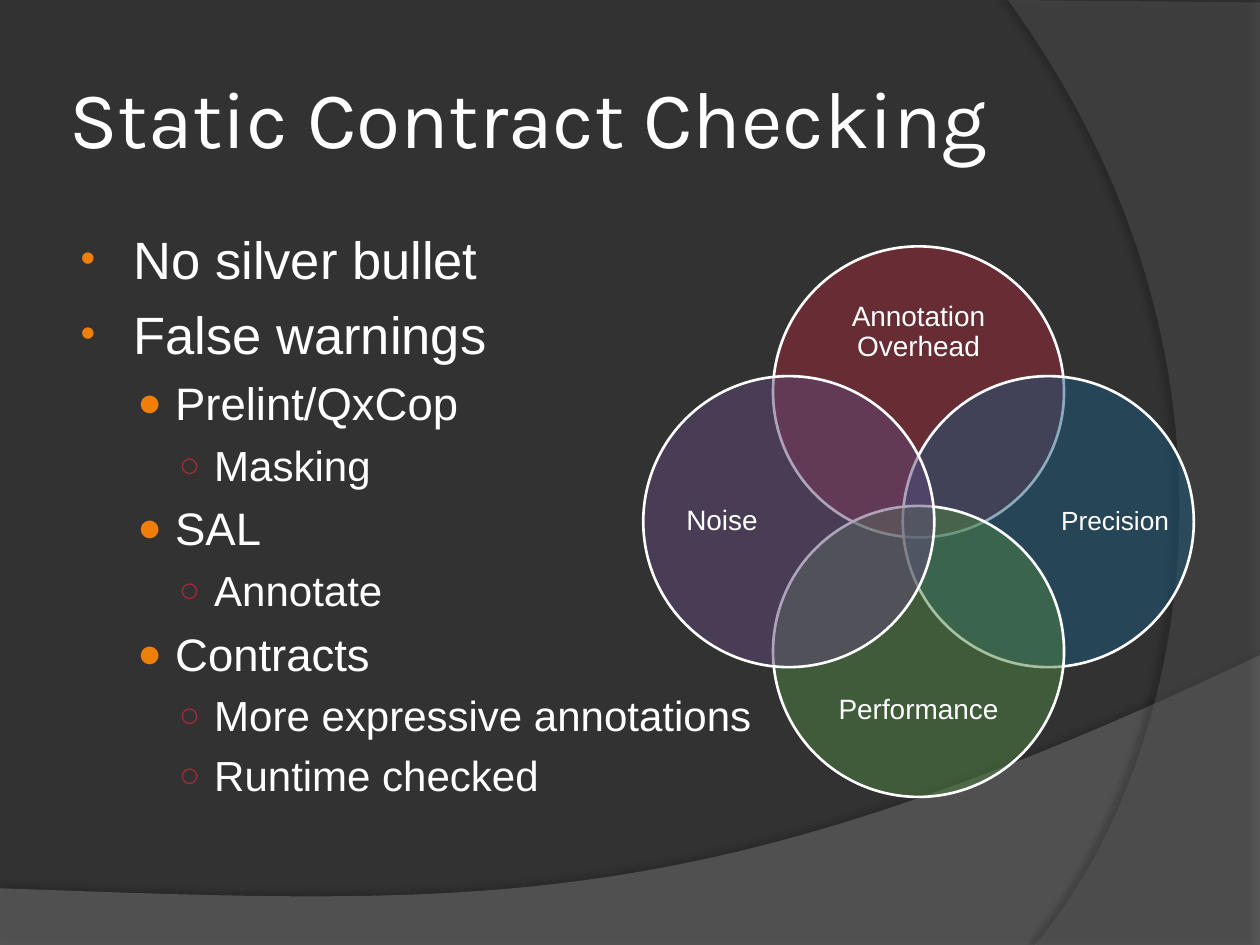
from lxml import etree
from pptx import Presentation
from pptx.dml.color import RGBColor
from pptx.enum.shapes import MSO_SHAPE
from pptx.enum.text import MSO_ANCHOR, MSO_AUTO_SIZE, PP_ALIGN
from pptx.oxml.ns import qn
from pptx.util import Inches, Pt

OVAL = MSO_SHAPE.OVAL
LEFT, CENTER = PP_ALIGN.LEFT, PP_ALIGN.CENTER
TOP, MIDDLE = MSO_ANCHOR.TOP, MSO_ANCHOR.MIDDLE
WHITE = "FFFFFF"
BACKGROUND = "323232"

TITLE = "Static Contract Checking"
BULLETS = [  # level, text
    (0, "No silver bullet"),
    (0, "False warnings"),
    (1, "Prelint/QxCop"),
    (2, "Masking"),
    (1, "SAL"),
    (2, "Annotate"),
    (1, "Contracts"),
    (2, "More expressive annotations"),
    (2, "Runtime checked"),
]
LEVELS = [
    {"size": 30, "margin": 0.46, "indent": -0.42, "char": "•", "color": "F07F09", "scale": 80},
    {"size": 26, "margin": 0.79, "indent": -0.3, "char": "●", "color": "F07F09", "scale": 90},
    {"size": 24, "margin": 1.1, "indent": -0.28, "char": "○", "color": "9F2936", "scale": 85},
]
# text, text size, circle colour, direction from the centre of the diagram
CIRCLES = [
    ("Annotation\nOverhead", 16, "9F2936", (0, -1)),
    ("Precision", 15, "1B587C", (1, 0)),
    ("Performance", 16, "4E8542", (0, 1)),
    ("Noise", 16, "604878", (-1, 0)),
]
VENN_CENTER = (7.29, 4.14)
DIAMETER, CIRCLE_OFFSET = 2.31, 1.03
LABEL_LONG, LABEL_HIGH, LABEL_NARROW = 1.78, 0.73, 0.89
LABEL_OFFSET_X, LABEL_OFFSET_Y = 1.56, 1.5

# corners, then a cubic curve that starts at the last corner
WAVES = [
    {"corners": [(0, 7.05), (0, 7.51), (10, 7.51), (10, 5.2)],
     "curve": [(5.59, 7.29), (3.91, 7.19), (0, 7.05)],
     "color": "7F7F7F", "opacity": 45,
     "shadow": {"opacity": 35, "blur": 4, "distance": 3.5, "angle": 270}},
    {"corners": [(8, 0), (10, 0.02), (10, 7.5), (8.21, 7.5)],
     "curve": [(9.35, 6.19), (10.18, 3), (8, 0)],
     "color": "5E5E5E", "opacity": 40,
     "shadow": {"opacity": 45, "blur": 4, "distance": 4, "angle": 180}},
]
CURVE_STEPS = 60


def rgb(color):
    return RGBColor.from_string(color)


def add_xml(parent, tag, **attributes):
    return etree.SubElement(parent, qn(tag), {key: str(value) for key, value in attributes.items()})


def fill_translucent(shape, color, opacity):
    shape.shadow.inherit = False
    shape.fill.solid()
    shape.fill.fore_color.rgb = rgb(color)
    color_element = next(shape.element.spPr.iter(qn("a:srgbClr")))
    add_xml(color_element, "a:alpha", val=opacity * 1000)


def format_font(paragraph, size, name):
    font = paragraph.font
    for key, value in {"size": Pt(size), "name": name, "bold": False}.items():
        setattr(font, key, value)
    font.color.rgb = rgb(WHITE)


def format_frame(frame, anchor, inset_x, inset_y):
    values = {"word_wrap": True, "auto_size": MSO_AUTO_SIZE.NONE, "vertical_anchor": anchor,
              "margin_left": Inches(inset_x), "margin_right": Inches(inset_x),
              "margin_top": Inches(inset_y), "margin_bottom": Inches(inset_y)}
    for key, value in values.items():
        setattr(frame, key, value)


def place(shape, left, top, width, height):
    shape.left, shape.top = Inches(left), Inches(top)
    shape.width, shape.height = Inches(width), Inches(height)


def centered_box(center_x, center_y, width, height):
    return [Inches(value) for value in
            (center_x - width / 2, center_y - height / 2, width, height)]


def curve_points(start, control_1, control_2, end):
    """Points along a cubic Bezier curve, without its start."""
    for step in range(1, CURVE_STEPS + 1):
        t = step / CURVE_STEPS
        weights = ((1 - t) ** 3, 3 * t * (1 - t) ** 2, 3 * t ** 2 * (1 - t), t ** 3)
        yield tuple(sum(weight * point[axis] for weight, point in
                        zip(weights, (start, control_1, control_2, end))) for axis in (0, 1))


def add_wave(slide, wave):
    corners = wave["corners"]
    points = corners + list(curve_points(corners[-1], *wave["curve"]))
    points = [(Inches(x), Inches(y)) for x, y in points]
    builder = slide.shapes.build_freeform(*points[0])
    builder.add_line_segments(points[1:], close=True)
    shape = builder.convert_to_shape()
    fill_translucent(shape, wave["color"], wave["opacity"])
    shape.line.fill.background()
    shadow = wave["shadow"]
    effects = shape.element.spPr.find(qn("a:effectLst"))
    outer = add_xml(effects, "a:outerShdw", blurRad=Pt(shadow["blur"]),
                    dist=Pt(shadow["distance"]), dir=shadow["angle"] * 60000,
                    algn="ctr", rotWithShape=0)
    color = add_xml(outer, "a:srgbClr", val="000000")
    add_xml(color, "a:alpha", val=shadow["opacity"] * 1000)
    return shape


def add_bullet(paragraph, level):
    properties = paragraph._p.get_or_add_pPr()
    properties.set("marL", str(Inches(level["margin"])))
    properties.set("indent", str(Inches(level["indent"])))
    color = add_xml(properties, "a:buClr")
    add_xml(color, "a:srgbClr", val=level["color"])
    add_xml(properties, "a:buSzPct", val=level["scale"] * 1000)
    add_xml(properties, "a:buFont", typeface="Arial")
    add_xml(properties, "a:buChar", char=level["char"])


def fill_title(title):
    place(title, 0.5, 0.3, 8.92, 1.25)
    format_frame(title.text_frame, MIDDLE, 0.05, 0.05)
    paragraph = title.text_frame.paragraphs[0]
    paragraph.text = TITLE
    paragraph.alignment = LEFT
    format_font(paragraph, 46, "Karla")


def fill_body(body):
    place(body, 0.5, 1.75, 8.92, 4.95)
    frame = body.text_frame
    format_frame(frame, TOP, 0.1, 0.05)
    for index, (depth, text) in enumerate(BULLETS):
        paragraph = frame.add_paragraph() if index else frame.paragraphs[0]
        level = LEVELS[depth]
        paragraph.text = text
        paragraph.level = depth
        paragraph.alignment = LEFT
        paragraph.space_before = Pt(0.23 * level["size"])
        format_font(paragraph, level["size"], "Arial")
        add_bullet(paragraph, level)


def add_circle(slide, text, size, color, direction):
    center_x, center_y = VENN_CENTER
    step_x, step_y = direction
    circle = slide.shapes.add_shape(OVAL, *centered_box(
        center_x + step_x * CIRCLE_OFFSET, center_y + step_y * CIRCLE_OFFSET, DIAMETER, DIAMETER))
    fill_translucent(circle, color, 50)
    circle.line.color.rgb = rgb(WHITE)
    circle.line.width = Pt(1.5)

    label_size = (LABEL_NARROW, LABEL_LONG) if step_x else (LABEL_LONG, LABEL_HIGH)
    label = slide.shapes.add_textbox(*centered_box(
        center_x + step_x * LABEL_OFFSET_X, center_y + step_y * LABEL_OFFSET_Y, *label_size))
    format_frame(label.text_frame, MIDDLE, 0, 0)
    paragraph = label.text_frame.paragraphs[0]
    paragraph.text = text
    paragraph.alignment = CENTER
    paragraph.line_spacing = 0.9
    format_font(paragraph, size, "Arial")


def main():
    presentation = Presentation()
    presentation.slide_width, presentation.slide_height = Inches(10), Inches(7.5)
    master = presentation.slide_master
    master.background.fill.solid()
    master.background.fill.fore_color.rgb = rgb(BACKGROUND)
    slide = presentation.slides.add_slide(presentation.slide_layouts[1])
    for index, wave in enumerate(WAVES):
        master.shapes.element.insert(2 + index, add_wave(slide, wave).element)
    fill_title(slide.shapes.title)
    fill_body(slide.placeholders[1])
    for circle in CIRCLES:
        add_circle(slide, *circle)
    presentation.save("out.pptx")


if __name__ == "__main__":
    main()
